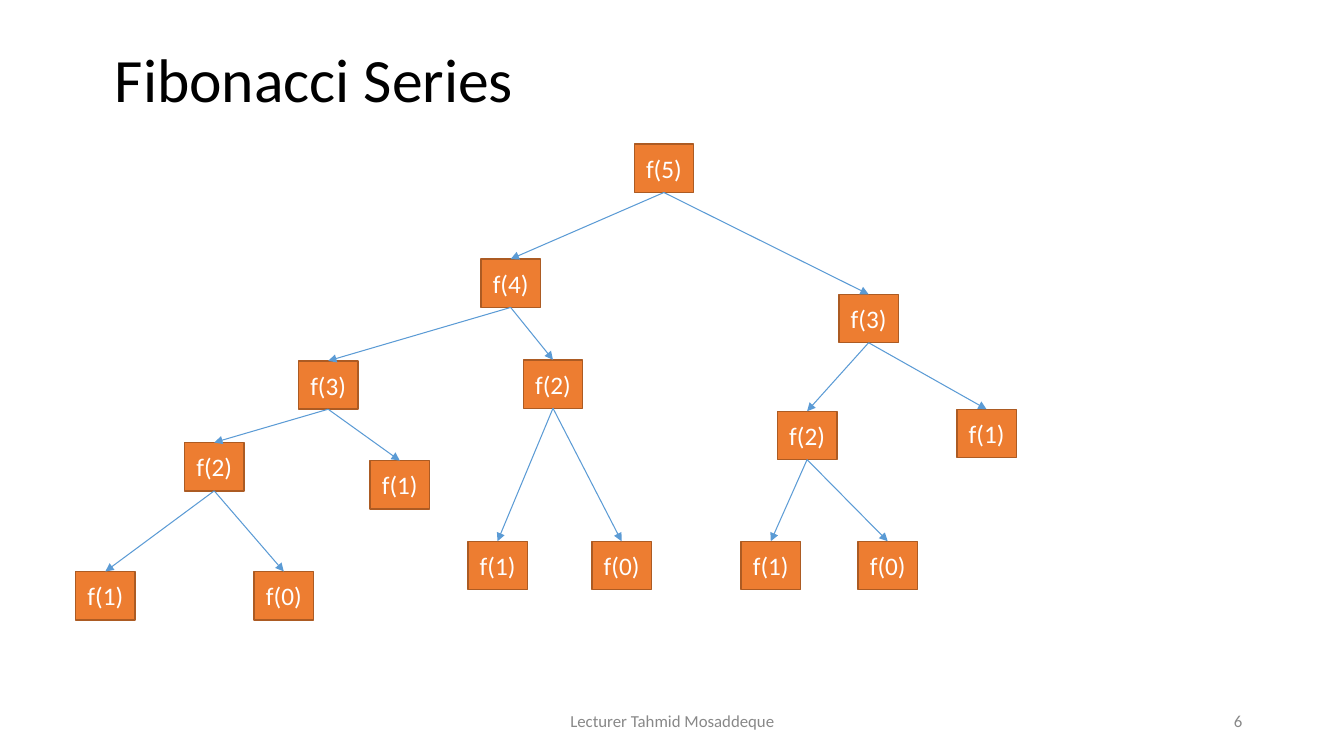
from lxml.etree import SubElement
from pptx import Presentation
from pptx.dml.color import RGBColor
from pptx.enum.shapes import MSO_CONNECTOR, MSO_SHAPE
from pptx.enum.text import MSO_ANCHOR, PP_ALIGN
from pptx.oxml.ns import qn
from pptx.util import Inches, Pt

COLORS = {
    "title": "000000",
    "footer": "888888",
    "box": "ED7D31",
    "box_line": "AC5B23",
    "box_text": "FFFFFF",
    "arrow": "5B9BD5",
}
FONT = "Calibri"
BOX_W, BOX_H = 0.59, 0.48

# text, (left, top, width, height), size, colour, alignment, line spacing
TEXTS = [
    ("Fibonacci Series", (1.04, 0.16, 11.5, 1.31), 44, "title", PP_ALIGN.LEFT, 0.9),
    ("Lecturer Tahmid Mosaddeque", (4.42, 6.95, 4.5, 0.4), 12, "footer", PP_ALIGN.CENTER, 1.0),
    ("6", (9.42, 6.95, 3, 0.4), 12, "footer", PP_ALIGN.RIGHT, 1.0),
]

# Each call: n, left, top, the calls it makes
CALL_TREE = (5, 6.29, 1.43, [
    (4, 4.77, 2.57, [
        (3, 2.96, 3.58, [
            (2, 1.83, 4.39, [(1, 0.75, 5.67, []), (0, 2.52, 5.67, [])]),
            (1, 3.67, 4.57, []),
        ]),
        (2, 5.19, 3.57, [(1, 4.64, 5.37, []), (0, 5.87, 5.37, [])]),
    ]),
    (3, 8.32, 2.92, [
        (2, 7.71, 4.08, [(1, 7.35, 5.37, []), (0, 8.51, 5.37, [])]),
        (1, 9.49, 4.06, []),
    ]),
])


def rgb(name):
    return RGBColor.from_string(COLORS[name])


def write(sp, text, size, color, align, spacing=1.0):
    tf = sp.text_frame
    tf.word_wrap = True
    tf.vertical_anchor = MSO_ANCHOR.MIDDLE
    p = tf.paragraphs[0]
    p.text = text
    p.alignment = align
    p.line_spacing = spacing
    font = p.runs[0].font
    font.name = FONT
    font.size = Pt(size)
    font.color.rgb = rgb(color)


def add_box(slide, n, left, top):
    sp = slide.shapes.add_shape(
        MSO_SHAPE.RECTANGLE, Inches(left), Inches(top), Inches(BOX_W), Inches(BOX_H))
    sp.shadow.inherit = False
    sp.fill.solid()
    sp.fill.fore_color.rgb = rgb("box")
    sp.line.color.rgb = rgb("box_line")
    sp.line.width = Pt(1)
    write(sp, f"f({n})", 18, "box_text", PP_ALIGN.CENTER)
    return sp


def add_arrow(slide, caller, callee):
    cxn = slide.shapes.add_connector(MSO_CONNECTOR.STRAIGHT, 0, 0, 0, 0)
    cxn.begin_connect(caller, 2)
    cxn.end_connect(callee, 0)
    cxn.line.color.rgb = rgb("arrow")
    cxn.line.width = Pt(0.75)
    SubElement(cxn.line._get_or_add_ln(), qn("a:tailEnd"), type="triangle")
    SubElement(cxn._element.spPr, qn("a:effectLst"))


def add_call(slide, call):
    """Draw a call and, recursively, the calls it makes; return its box."""
    n, left, top, children = call
    box = add_box(slide, n, left, top)
    for child in children:
        add_arrow(slide, box, add_call(slide, child))
    return box


def main():
    prs = Presentation()
    prs.slide_width, prs.slide_height = Inches(13.33), Inches(7.5)
    slide = prs.slides.add_slide(prs.slide_layouts[6])
    for text, place, size, color, align, spacing in TEXTS:
        sp = slide.shapes.add_textbox(*map(Inches, place))
        write(sp, text, size, color, align, spacing)
    add_call(slide, CALL_TREE)
    prs.save("out.pptx")


if __name__ == "__main__":
    main()
